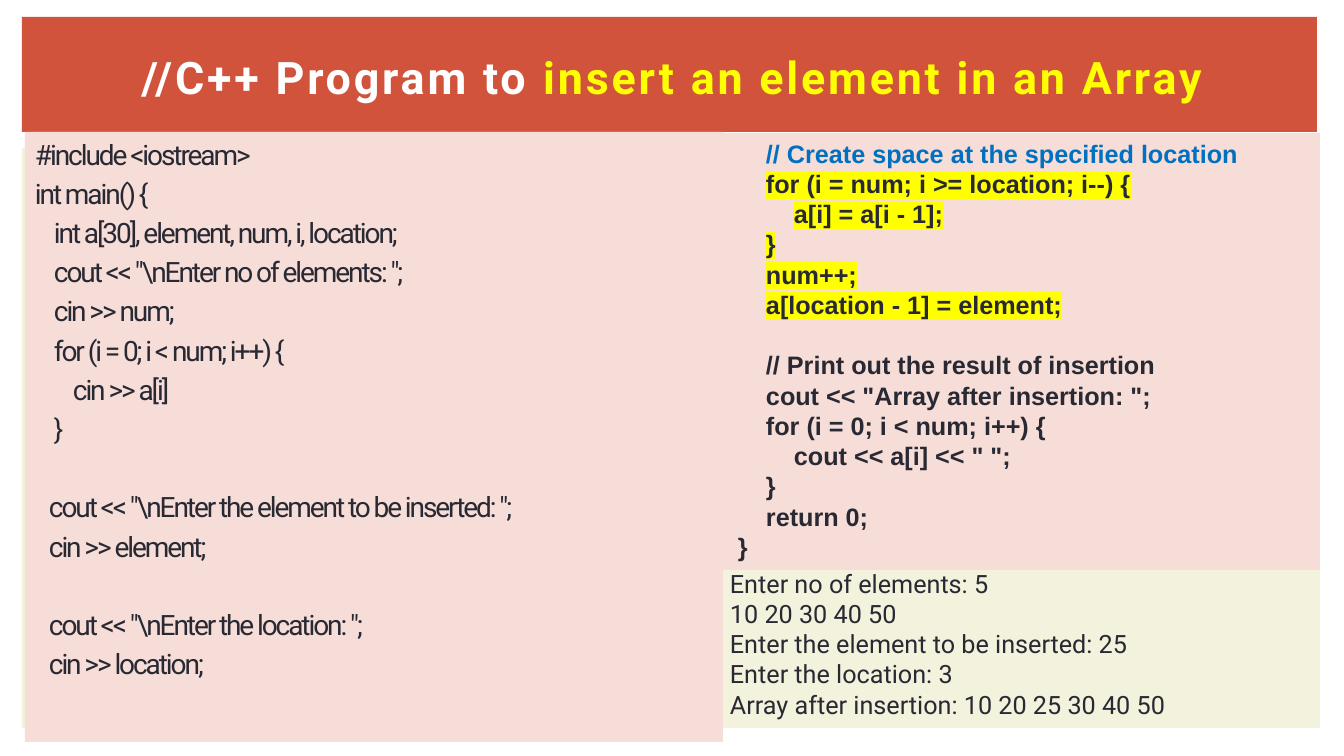
from dataclasses import dataclass

from lxml.etree import SubElement
from pptx import Presentation
from pptx.dml.color import RGBColor
from pptx.enum.shapes import MSO_SHAPE as Shape
from pptx.enum.text import MSO_ANCHOR as Anchor, PP_ALIGN as Align
from pptx.oxml.ns import qn
from pptx.util import Pt

EMU_PER_PX = 914400 / 100.8


@dataclass(frozen=True)
class Theme:
    header: str = "D2533C"
    code_panel: str = "F6DDD8"
    output_panel: str = "F3F2DC"
    ink: str = "292934"
    white: str = "FFFFFF"
    yellow: str = "FFFF00"
    blue: str = "0070C0"
    sans: str = "Roboto"
    code: str = "Arial"
    title_size: int = 32
    body_size: int = 20
    code_size: int = 18


@dataclass(frozen=True)
class Box:
    x: int
    y: int
    w: int
    h: int

    def emu(self) -> tuple[int, ...]:
        return tuple(px(v) for v in (self.x, self.y, self.w, self.h))


@dataclass(frozen=True)
class Run:
    text: str
    color: str = Theme.ink
    highlight: str | None = None


@dataclass(frozen=True)
class Line:
    """One paragraph; tab is its indent in px, before its extra gap in points."""
    runs: tuple[Run, ...]
    tab: int = 0
    before: float = 0


T = Theme()


def px(value: int) -> int:
    return round(value * EMU_PER_PX)


def code(text: str, tab: int = 0, before: float = 0, color: str = T.ink,
         highlight: str | None = None) -> Line:
    return Line((Run(text, color, highlight),), tab, before)


def add_panel(s, box: Box, color: str):
    sp = s.shapes.add_shape(Shape.RECTANGLE, *box.emu())
    sp.shadow.inherit = False
    sp.fill.solid()
    sp.fill.fore_color.rgb = RGBColor.from_string(color)
    sp.line.fill.background()
    return sp


def add_run(p, run: Run, text: str, *, font: str, size: int, bold: bool, spacing: int) -> None:
    r = p.add_run()
    r.text = text
    r.font.name, r.font.size, r.font.bold = font, Pt(size), bold
    r.font.color.rgb = RGBColor.from_string(run.color)
    rPr = r.font._element
    if spacing:
        rPr.set("spc", str(spacing))
    if run.highlight:
        mark = SubElement(rPr, qn("a:highlight"))
        SubElement(mark, qn("a:srgbClr"), val=run.highlight)
        rPr.find(qn("a:solidFill")).addnext(mark)


def write(sp, lines: list[Line], *, font: str = T.sans, size: int = T.code_size,
          bold: bool = False, spacing: int = 0, before: float = 0, inset: int = 10,
          align=Align.LEFT, anchor=Anchor.TOP) -> None:
    """Fill a shape with lines; spacing is in hundredths of a point."""
    tf = sp.text_frame
    tf.word_wrap = True
    tf.vertical_anchor = anchor
    tf.margin_left, tf.margin_right = px(inset), px(10)
    tf.margin_top = tf.margin_bottom = px(5)
    for i, line in enumerate(lines):
        p = tf.paragraphs[0] if i == 0 else tf.add_paragraph()
        p.alignment = align
        p.space_before = Pt(before + line.before)
        if line.tab:
            stops = SubElement(p._p.get_or_add_pPr(), qn("a:tabLst"))
            SubElement(stops, qn("a:tab"), pos=str(px(line.tab)), algn="l")
        for j, run in enumerate(line.runs):
            lead = "\t" if line.tab and j == 0 else ""
            add_run(p, run, lead + run.text, font=font, size=size, bold=bold, spacing=spacing)


TITLE = [Line((Run("//C++ Program to ", T.white),
               Run("insert an element in an Array", T.yellow)))]

INPUT_GAP = 28
INPUT_CODE = [
    code("#include <iostream>"),
    code("int main() {"),
    code("int a[30], element, num, i, location;", 19),
    code('cout << "\\nEnter no of elements: ";', 19),
    code("cin >> num;", 19),
    code("for (i = 0; i < num; i++) {", 19),
    code("cin >> a[i]", 38),
    code("}", 19),
    code('cout << "\\nEnter the element to be inserted: ";', 14, INPUT_GAP),
    code("cin >> element;", 14),
    code('cout << "\\nEnter the location: ";', 14, INPUT_GAP),
    code("cin >> location;", 14),
]

INSERT_CODE = [
    code("// Create space at the specified location", 28, color=T.blue),
    code("for (i = num; i >= location; i--) {", 28, highlight=T.yellow),
    code("a[i] = a[i - 1];", 56, highlight=T.yellow),
    code("}", 28, highlight=T.yellow),
    code("num++;", 28, highlight=T.yellow),
    code("a[location - 1] = element;", 28, highlight=T.yellow),
    code("// Print out the result of insertion", 28, 21.6),
    code('cout << "Array after insertion: ";', 28),
    code("for (i = 0; i < num; i++) {", 28),
    code('cout << a[i] << " ";', 56),
    code("}", 28),
    code("return 0;", 28),
    code("}"),
]

OUTPUT = [code(text) for text in (
    "Enter no of elements: 5",
    "10 20 30 40 50",
    "Enter the element to be inserted: 25",
    "Enter the location: 3",
    "Array after insertion: 10 20 25 30 40 50",
)]


def main() -> None:
    prs = Presentation()
    prs.slide_width, prs.slide_height = px(1344), px(756)
    s = prs.slides.add_slide(prs.slide_layouts[6])

    add_panel(s, Box(22, 148, 1298, 580), T.output_panel)
    add_panel(s, Box(22, 17, 1295, 115), T.header)
    write(add_panel(s, Box(25, 132, 698, 610), T.code_panel), INPUT_CODE,
          size=T.body_size, spacing=-150, before=4)
    write(s.shapes.add_textbox(*Box(56, 21, 1232, 111).emu()), TITLE,
          size=T.title_size, bold=True, spacing=200, align=Align.CENTER, anchor=Anchor.MIDDLE)
    write(add_panel(s, Box(723, 133, 597, 437), T.code_panel), INSERT_CODE,
          font=T.code, bold=True, inset=15)
    write(s.shapes.add_textbox(*Box(720, 563, 599, 163).emu()), OUTPUT)

    prs.save("out.pptx")


if __name__ == "__main__":
    main()
